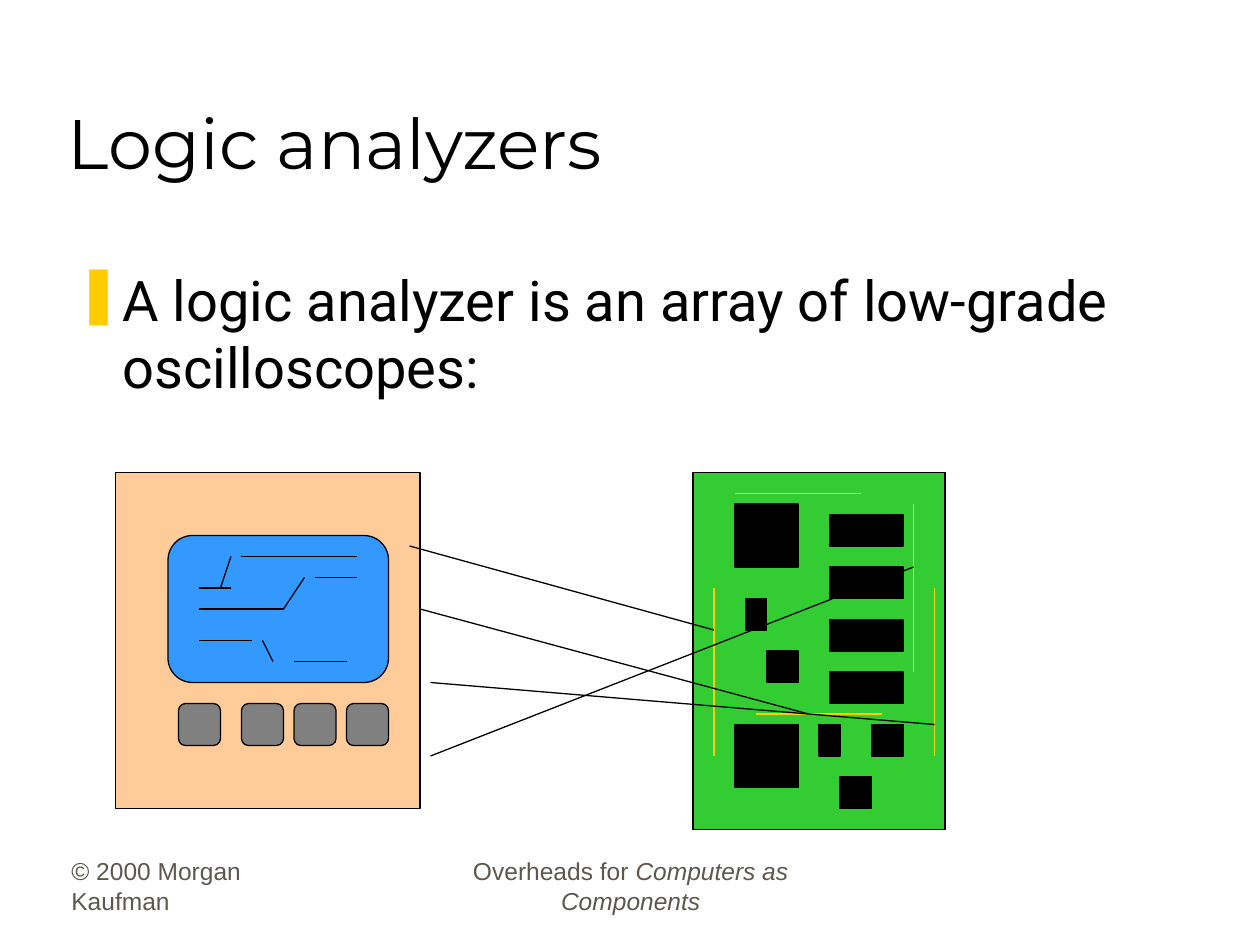
from dataclasses import dataclass

from lxml import etree
from pptx import Presentation, util as u
from pptx.dml.color import RGBColor
from pptx.enum import shapes, text
from pptx.oxml.ns import qn


@dataclass(frozen=True)
class Theme:
    ink: str = "000000"
    footer: str = "5E574E"
    accent: str = "FFCC00"
    board: str = "33CC33"
    case: str = "FFCC99"
    screen: str = "3399FF"
    button: str = "808080"
    title_size: int = 40
    body_size: int = 32
    footer_size: int = 14
    line_width: float = 0.75


THEME = Theme()
RECT = shapes.MSO_SHAPE.RECTANGLE
ROUNDED = shapes.MSO_SHAPE.ROUNDED_RECTANGLE

# Drawing coordinates are grid steps: (left, top, width, height) or (x1, y1, x2, y2).
GRID_CM = 2.54 / 12
BOARD = (66, 45, 24, 34)
CHIPS = [
    (70, 48, 6, 6), (70, 69, 6, 6),
    *[(79, top, 7, 3) for top in range(49, 65, 5)],
    (71, 57, 2, 3), (78, 69, 2, 3),
    (73, 62, 3, 3), (83, 69, 3, 3), (80, 74, 3, 3),
]
TRACES = [
    (87, 48, 87, 64), (68, 56, 68, 72), (89, 56, 89, 72),
    (84, 68, 72, 68), (82, 47, 70, 47),
]
ANALYZER = (11, 45, 29, 32)
PROBES = [
    (39, 52, 68, 60), (40, 58, 77, 68), (41, 65, 89, 69), (41, 72, 87, 54),
]
SCREEN = (16, 51, 21, 14)
WAVES = [
    (19, 56, 22, 56), (21, 56, 22, 53), (23, 53, 34, 53),
    (19, 58, 27, 58), (27, 58, 29, 55), (30, 55, 34, 55),
    (19, 61, 24, 61), (25, 61, 26, 63), (28, 63, 33, 63),
]
BUTTON_LEFTS = (17, 23, 28, 33)


def grid(*steps):
    return [u.Cm(step * GRID_CM) for step in steps]


def color(value):
    return RGBColor.from_string(value)


def add_bullet(para, mark, bullet_color, indent):
    props = para._p.get_or_add_pPr()
    props.set("marL", str(indent))
    props.set("indent", str(-indent))
    holder = etree.SubElement(props, qn("a:buClr"))
    etree.SubElement(holder, qn("a:srgbClr")).set("val", bullet_color)
    etree.SubElement(props, qn("a:buChar")).set("char", mark)


def add_text(page, place, spans, *, font, size, ink=THEME.ink, align="LEFT",
             anchor="TOP", bullet=None):
    """Add one paragraph; spans are (wording, italic) pairs, place is in cm."""
    box = page.shapes.add_textbox(*map(u.Cm, place))
    frame = box.text_frame
    frame.word_wrap = True
    frame.vertical_anchor = text.MSO_ANCHOR[anchor]
    para = frame.paragraphs[0]
    para.alignment = text.PP_ALIGN[align]
    if bullet:
        add_bullet(para, bullet, THEME.accent, u.Cm(0.95))
    for wording, italic in spans:
        span = para.add_run()
        span.text = wording
        span.font.name = font
        span.font.size = u.Pt(size)
        span.font.italic = italic
        span.font.color.rgb = color(ink)


def add_block(page, place, fill, kind=RECT):
    block = page.shapes.add_shape(kind, *grid(*place))
    block.shadow.inherit = False
    block.fill.solid()
    block.fill.fore_color.rgb = color(fill)
    block.line.color.rgb = color(THEME.ink)
    block.line.width = u.Pt(THEME.line_width)


def add_lines(page, ends, ink=THEME.ink):
    for points in ends:
        line = page.shapes.add_connector(shapes.MSO_CONNECTOR.STRAIGHT, *grid(*points))
        line.line.color.rgb = color(ink)
        line.line.width = u.Pt(THEME.line_width)
        etree.SubElement(line._element.spPr, qn("a:effectLst"))


def draw_board(page):
    add_block(page, BOARD, THEME.board)
    for chip in CHIPS:
        add_block(page, chip, THEME.ink)
    add_lines(page, TRACES, THEME.accent)


def draw_analyzer(page):
    add_block(page, ANALYZER, THEME.case)
    add_lines(page, PROBES)
    add_block(page, SCREEN, THEME.screen, ROUNDED)
    add_lines(page, WAVES)
    for left in BUTTON_LEFTS:
        add_block(page, (left, 67, 4, 4), THEME.button, ROUNDED)


def main():
    deck = Presentation()
    deck.slide_width, deck.slide_height = u.Cm(25.4), u.Cm(19.05)
    page = deck.slides.add_slide(deck.slide_layouts[6])

    footer = dict(font="Arial", size=THEME.footer_size, ink=THEME.footer, anchor="BOTTOM")
    add_text(page, (1.19, 17.3, 5.28, 1.27), [("© 2000 Morgan Kaufman", False)], **footer)
    add_text(page, (8.69, 17.3, 8.05, 1.27),
             [("Overheads for ", False), ("Computers as Components", True)],
             align="CENTER", **footer)
    add_text(page, (1.12, 0.64, 21.59, 3.18), [("Logic analyzers", False)],
             font="Montserrat", size=THEME.title_size, anchor="BOTTOM")
    add_text(page, (1.27, 5.23, 22.71, 4.29),
             [("A logic analyzer is an array of low-grade oscilloscopes:", False)],
             font="Roboto", size=THEME.body_size, bullet="❚")
    draw_board(page)
    draw_analyzer(page)
    deck.save("out.pptx")


if __name__ == "__main__":
    main()
